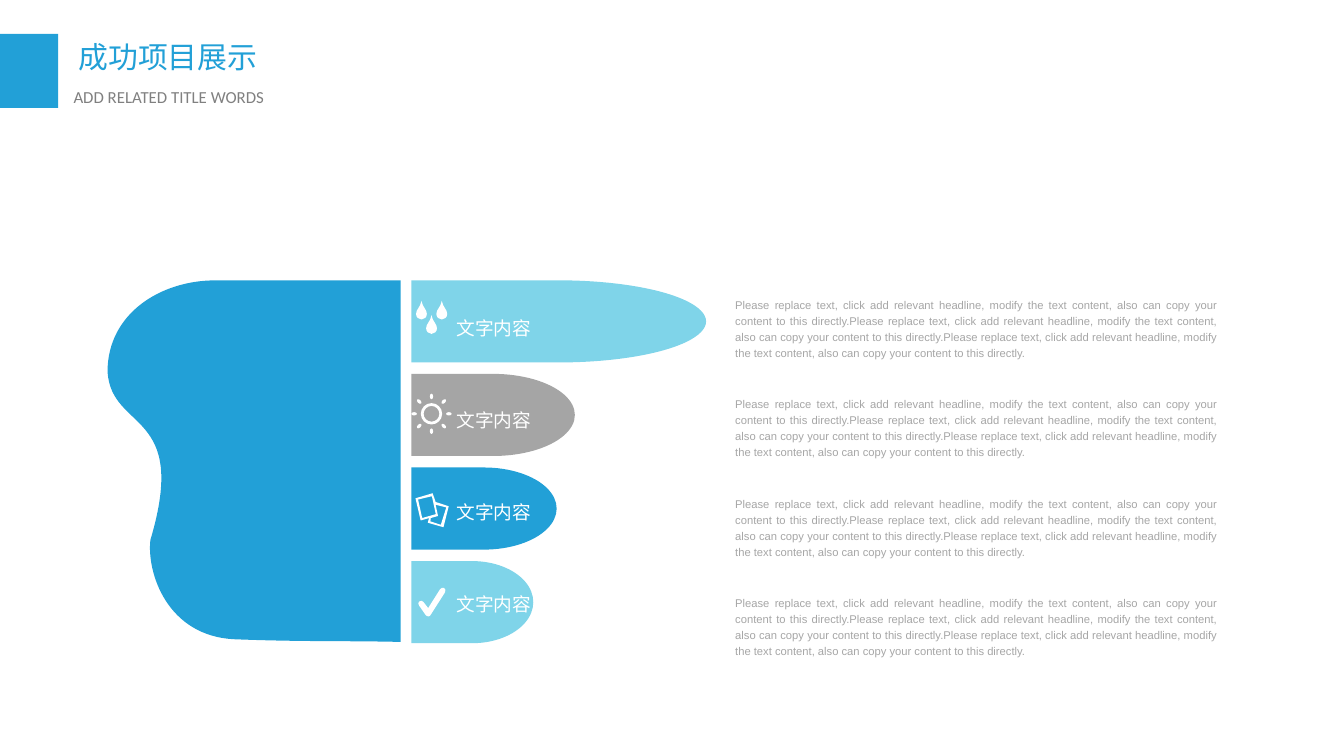
import math

import pptx
import pptx.dml.color
import pptx.enum.shapes
import pptx.enum.text
import pptx.oxml
import pptx.oxml.ns
import pptx.util

Pt = pptx.util.Pt
ALIGN = pptx.enum.text.PP_ALIGN
DELAY = pptx.enum.shapes.MSO_SHAPE.FLOWCHART_DELAY
RECTANGLE = pptx.enum.shapes.MSO_SHAPE.RECTANGLE

COLORS = {"blue": "22A0D7", "sky": "7FD4E9", "gray": "A5A5A5",
          "white": "FFFFFF", "subtitle": "808080", "body": "A6A6A6"}

TITLE = {"size": Pt(16), "name": "Noto Sans CJK SC", "color": "blue"}
SUBTITLE = {"size": Pt(9), "name": "Calibri", "color": "subtitle"}
LABEL = {"size": Pt(10), "name": "Arial", "color": "white"}
BODY = {"size": Pt(6), "name": "Arial", "color": "body"}
SPACED = {"line_spacing": 1.2}
JUSTIFIED = {"alignment": ALIGN.JUSTIFY}
BODY_PARA = {**SPACED, **JUSTIFIED, "space_before": Pt(1.2)}

SENTENCE = ("Please replace text, click add relevant headline, modify the text "
            "content, also can copy your content to this directly.")

# Outlines: a start point, then lines (x, y) and curves (x1, y1, x2, y2, x, y)
THUMB = [(23, 139), (43.9, 69.1, 2.2, 81.4, 0, 49),
         (0, 17.5, 28.8, 0, 57.6, 0), (157, 0), (157, 193.7),
         (127.4, 193, 105, 193.7, 68.4, 192.3),
         (31.7, 190.8, 20.9, 156.2, 23, 139)]
DROP = [(0, 0), (-0.6, 3.6, -2.9, 4.5, -2.9, 7), (-2.9, 8.8, -1.5, 10, 0, 10),
        (1.5, 10, 2.9, 8.8, 2.9, 7), (2.9, 4.5, 0.6, 3.6, 0, 0)]
CHECK = [(-1.4, 7.9), (-2.2, 7.9, -2.9, 7.5, -3.1, 7.2), (-6.6, 2.2),
         (-7.4, 1.4, -7.2, 0.4, -6.6, -0.1), (-5.6, -0.7, -4.8, -0.5, -4.3, 0.2),
         (-1.8, 3.4), (4.5, -6.6), (5, -7.4, 6, -7.8, 6.7, -7.4),
         (7.4, -7, 7.7, -5.9, 7.2, -5), (-0.6, 7.2),
         (-0.8, 7.6, -1.1, 7.9, -1.4, 7.9)]
CARDS = [
    [(-8.6, -6.3), (0.6, -9), (2.2, -4.3), (9.2, -2), (6.4, 9.2), (-2, 6.8),
     (-1.3, 4.3), (-5.8, 5.6)],
    [(-7.2, -5.6), (0.2, -7.4), (2.3, 2.2), (-5, 4.3)],
    [(5, 7.9), (-0.6, 6.1), (-0.4, 4.3), (3.5, 3.2), (2.2, -2.8), (7.9, -1.4)]]


def pairs(segment):
    return list(zip(segment[::2], segment[1::2]))


def move(outline, place):
    """Apply a point function to every point of an outline."""
    return [tuple(value for point in pairs(segment) for value in place(*point))
            for segment in outline]


def ellipse(distance, angle, along, across):
    """Ellipse of four curves, at a distance from the centre and an angle."""
    k = 0.55
    unit = [(1, 0), (1, k, k, 1, 0, 1), (-k, 1, -1, k, -1, 0),
            (-1, -k, -k, -1, 0, -1), (k, -1, 1, -k, 1, 0)]

    def place(x, y):
        u, v = distance + along * x, across * y
        return (u * math.cos(angle) - v * math.sin(angle),
                u * math.sin(angle) + v * math.cos(angle))
    return move(unit, place)


def drops_icon():
    return [move(DROP, lambda x, y: (x + dx, y + dy))
            for dx, dy in ((-5.4, -9.1), (5.5, -9.1), (0, -1.4))]


def sun_icon():
    rays = [ellipse(9.3, math.tau * ray / 8, 1.5, 0.9) for ray in range(8)]
    return [ellipse(0, 0, 5.7, 5.7), ellipse(0, 0, 4.2, 4.2)] + rays


def paint(shape, color):
    shape.shadow.inherit = False
    shape.fill.solid()
    shape.fill.fore_color.rgb = pptx.dml.color.RGBColor.from_string(COLORS[color])
    shape.line.fill.background()


def add_preset(page, kind, box, color):
    paint(page.shapes.add_shape(kind, *map(Pt, box)), color)


def add_outline(page, left, top, contours, color):
    """Draw a freeform, then join the three points of each curve."""
    builder = None
    for contour in contours:
        points = [(Pt(left + x), Pt(top + y))
                  for segment in contour for x, y in pairs(segment)]
        if builder is None:
            builder = page.shapes.build_freeform(*points[0])
        else:
            builder.move_to(*points[0])
        builder.add_line_segments(points[1:], close=True)
    shape = builder.convert_to_shape()
    paint(shape, color)
    lines = iter(list(shape._element.iter(pptx.oxml.ns.qn("a:lnTo"))))
    for contour in contours:
        for segment in contour[1:]:
            first = next(lines)
            if len(segment) == 6:
                curve = pptx.oxml.parse_xml(
                    f'<a:cubicBezTo {pptx.oxml.ns.nsdecls("a")}/>')
                first.addprevious(curve)
                for line in (first, next(lines), next(lines)):
                    curve.append(line[0])
                    line.getparent().remove(line)


def write(shape, box, text, font, layout, margins=(0, 0), wrap=True):
    """Place a text shape and fill it with one formatted paragraph."""
    for name, value in zip(("left", "top", "width", "height"), box):
        setattr(shape, name, Pt(value))
    frame = shape.text_frame
    side, edge = map(Pt, margins)
    settings = {"word_wrap": wrap, "margin_left": side, "margin_right": side,
                "margin_top": edge, "margin_bottom": edge,
                "auto_size": pptx.enum.text.MSO_AUTO_SIZE.NONE,
                "vertical_anchor": pptx.enum.text.MSO_ANCHOR.TOP}
    for name, value in settings.items():
        setattr(frame, name, value)
    para = frame.paragraphs[0]
    for name, value in layout.items():
        setattr(para, name, value)
    span = para.add_run()
    span.text = text
    for name in ("size", "name"):
        setattr(span.font, name, font[name])
    span.font.color.rgb = pptx.dml.color.RGBColor.from_string(COLORS[font["color"]])
    east_asian = pptx.oxml.parse_xml(
        f'<a:ea {pptx.oxml.ns.nsdecls("a")} typeface="{font["name"]}"/>')
    span.font._element.find(pptx.oxml.ns.qn("a:latin")).addnext(east_asian)


def add_text(page, box, *content, **options):
    write(page.shapes.add_textbox(*map(Pt, box)), box, *content, **options)


def header(page, box):
    left, top, width, height = box
    add_preset(page, RECTANGLE, (left, top, 31.2, height), "blue")
    write(page.shapes.title, (left + 36.7, top, 144.7, 25.2),
          "成功项目展示", TITLE, JUSTIFIED, margins=(5.4, 2.7))
    add_text(page, (left + 34, top + 25.4, width - 34, 16.6),
             "ADD RELATED TITLE WORDS", SUBTITLE, JUSTIFIED, margins=(5.4, 2.7))


def hand(page, box):
    left, top, width, height = box
    add_outline(page, left, top, [THUMB], "blue")
    # Fingers: width, colour, icon, icon centre below the finger's top
    fingers = [(157.9, "sky", drops_icon(), 20.1),
               (87.6, "gray", sun_icon(), 21.4),
               (77.8, "blue", CARDS, 22.8),
               (65.3, "sky", [CHECK], 21.8)]
    finger_left, finger_height = left + 162.8, 44
    pitch = (height - finger_height) / (len(fingers) - 1)
    for row, (length, color, icon, middle) in enumerate(fingers):
        finger_top = top + row * pitch
        add_preset(page, DELAY, (finger_left, finger_top, length, finger_height), color)
        add_outline(page, finger_left + 10.8, finger_top + middle, icon, "white")
        add_text(page, (finger_left + 24.2, top + 17.2 + row * 49.2, 40.3, 14.4),
                 "文字内容", LABEL, SPACED, wrap=False)


def descriptions(page, box, count=4):
    left, top, width, height = box
    text_height = 34.6
    pitch = (height - text_height) / (count - 1)
    for row in range(count):
        add_text(page, (left, top + row * pitch, width, text_height),
                 SENTENCE * 3, BODY, BODY_PARA)


def main():
    deck = pptx.Presentation()
    deck.slide_width, deck.slide_height = Pt(720), Pt(405)
    page = deck.slides.add_slide(deck.slide_layouts[5])
    header(page, (0, 18.2, 194.4, 39.6))
    hand(page, (57.6, 150.2, 320.6, 194.4))
    descriptions(page, (393.9, 158.2, 258, 194.4))
    deck.save("out.pptx")


if __name__ == "__main__":
    main()
